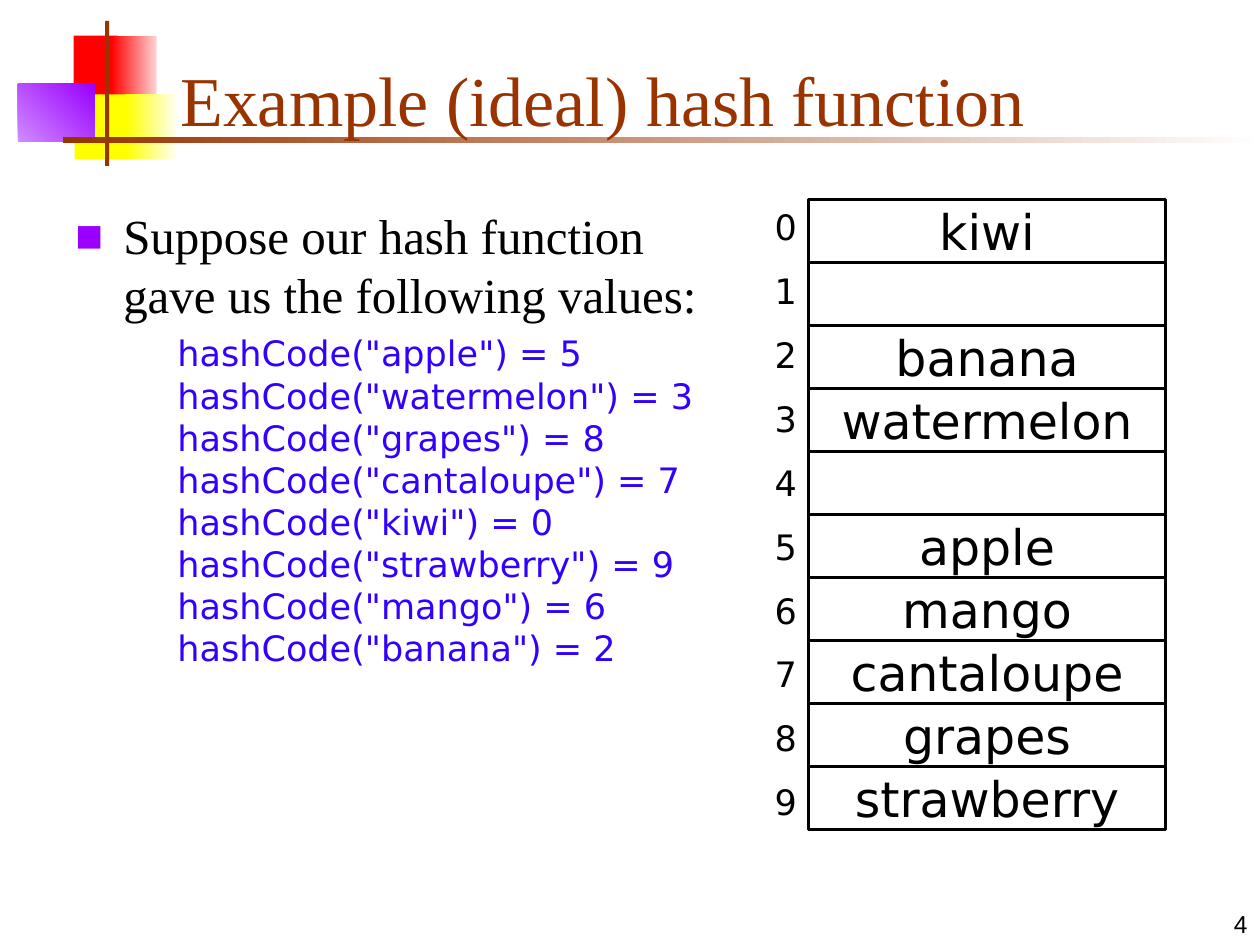
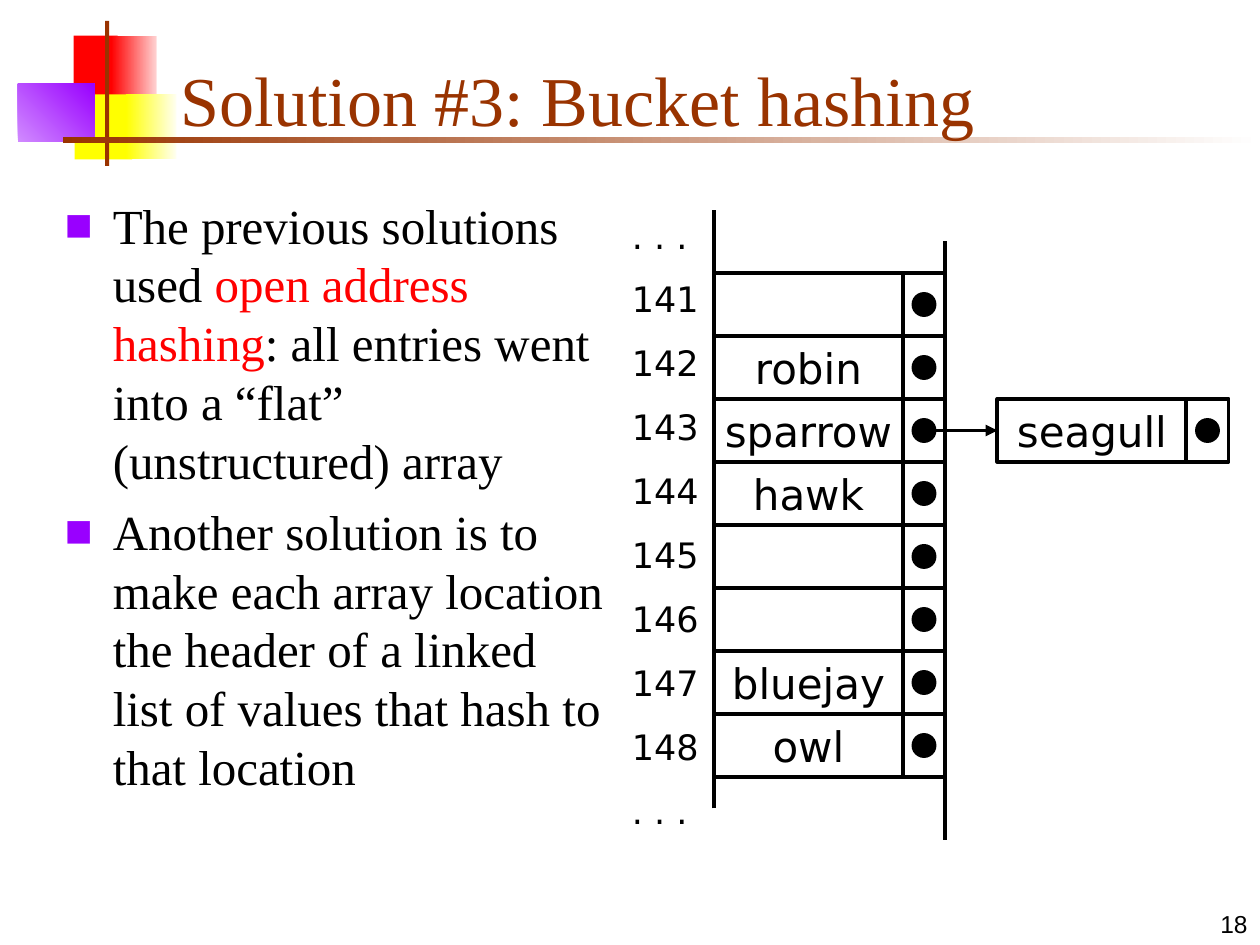
from lxml import etree
from pptx import Presentation
from pptx.dml.color import RGBColor
from pptx.enum.dml import MSO_THEME_COLOR
from pptx.enum.shapes import MSO_CONNECTOR, MSO_SHAPE
from pptx.enum.text import MSO_ANCHOR, PP_ALIGN
from pptx.oxml.ns import qn
from pptx.util import Inches, Pt

SLIDE_WIDTH, SLIDE_HEIGHT = Inches(10), Inches(7.5)
COLUMNS, ROWS = 120, 90

RECTANGLE, CELL, OVAL = MSO_SHAPE.RECTANGLE, MSO_SHAPE.FLOWCHART_PROCESS, MSO_SHAPE.OVAL
STRAIGHT = MSO_CONNECTOR.STRAIGHT
TOP, MIDDLE, BOTTOM = MSO_ANCHOR.TOP, MSO_ANCHOR.MIDDLE, MSO_ANCHOR.BOTTOM
LEFT, CENTER, RIGHT = PP_ALIGN.LEFT, PP_ALIGN.CENTER, PP_ALIGN.RIGHT

BLACK = RGBColor(0x00, 0x00, 0x00)
WHITE = RGBColor(0xFF, 0xFF, 0xFF)
RED = RGBColor(0xFF, 0x00, 0x00)
PINK = RGBColor(0xFF, 0xD1, 0xD1)
YELLOW = RGBColor(0xFF, 0xFF, 0x00)
CREAM = RGBColor(0xFF, 0xFF, 0xF0)
PURPLE = RGBColor(0x99, 0x00, 0xFF)
LILAC = RGBColor(0xD1, 0x8B, 0xFF)
BROWN = RGBColor(0x99, 0x33, 0x00)
CODE_BLUE = RGBColor(0x33, 0x00, 0xFF)

SERIF, SANS, NUMBER_FONT = "Times New Roman", "DejaVu Sans", "Arial"
LINE_WIDTH = Pt(2.25)
CELL_ROWS = 6
POINTER_COLUMNS = 4
DOT = 2

MOTIF = [
    ((7, 3.4, 4.2, 6.2), [RED], 0),
    ((10.6, 3.4, 4.3, 6.2), [RED, PINK], 0),
    ((7.1, 9, 5.5, 6.2), [YELLOW], 0),
    ((12, 9, 4.8, 6.2), [YELLOW, CREAM], 0),
    ((1.7, 8, 7.3, 5.5), [LILAC, PURPLE], 45),
    ((10, 2, 0.4, 13.8), [BROWN], 0),
    ((6, 13, 114, 0.6), [BROWN, WHITE], 0),
]

HASH_CODES = [
    ("apple", 5), ("watermelon", 3), ("grapes", 8), ("cantaloupe", 7),
    ("kiwi", 0), ("strawberry", 9), ("mango", 6), ("banana", 2),
]
FIRST_BUCKET = 141
BUCKETS = ["", "robin", "sparrow", "hawk", "", "", "bluejay", "owl"]


def across(columns):
    return round(SLIDE_WIDTH * columns / COLUMNS)


def down(rows):
    return round(SLIDE_HEIGHT * rows / ROWS)


def place(area):
    left, top, width, height = area
    return across(left), down(top), across(width), down(height)


def add_plain_shape(slide, kind, area):
    shape = slide.shapes.add_shape(kind, *place(area))
    shape.shadow.inherit = False
    return shape


def add_motif(slide):
    for area, colours, angle in MOTIF:
        block = add_plain_shape(slide, RECTANGLE, area)
        block.line.fill.background()
        if len(colours) == 1:
            block.fill.solid()
            block.fill.fore_color.rgb = colours[0]
        else:
            block.fill.gradient()
            block.fill.gradient_angle = angle
            for stop, colour in zip(block.fill.gradient_stops, colours):
                stop.color.theme_color = MSO_THEME_COLOR.ACCENT_1
                stop.color.rgb = colour


def add_run(paragraph, text, font, size, colour):
    run = paragraph.add_run()
    run.text = text
    run.font.name = font
    run.font.size = Pt(size)
    run.font.color.rgb = colour


def next_paragraph(frame, size, space_before=0, align=LEFT):
    paragraph = frame.paragraphs[0]
    if paragraph.runs:
        paragraph = frame.add_paragraph()
        paragraph.space_before = Pt(space_before)
    paragraph.line_spacing = Pt(size * 1.2)
    paragraph.alignment = align
    return paragraph


def add_frame(slide, area, anchor=TOP, wrap=True):
    frame = slide.shapes.add_textbox(*place(area)).text_frame
    frame.word_wrap = wrap
    frame.vertical_anchor = anchor
    return frame


def start_slide(deck, title, number):
    slide = deck.slides.add_slide(deck.slide_layouts[6])
    add_motif(slide)
    footer = add_frame(slide, (95, 84, 25, 6), BOTTOM)
    add_run(next_paragraph(footer, 14, align=RIGHT), str(number), NUMBER_FONT, 14, BLACK)
    heading = add_frame(slide, (16, 3, 102.2, 11), BOTTOM)
    add_run(next_paragraph(heading, 40), title, SERIF, 40, BROWN)
    return slide


def set_indent(paragraph, margin, hanging=0.0):
    properties = paragraph._p.get_or_add_pPr()
    properties.set("marL", str(Inches(margin)))
    properties.set("indent", str(-Inches(hanging)))
    return properties


def add_bullet(frame, spans):
    paragraph = next_paragraph(frame, 28, 7)
    properties = set_indent(paragraph, 0.38, 0.38)
    colour = etree.SubElement(properties, qn("a:buClr"))
    etree.SubElement(colour, qn("a:srgbClr"), val=str(PURPLE))
    etree.SubElement(properties, qn("a:buSzPct"), val="60000")
    etree.SubElement(properties, qn("a:buFont"), typeface=SANS)
    etree.SubElement(properties, qn("a:buChar"), char="■")
    for text, text_colour in spans:
        add_run(paragraph, text, SERIF, 28, text_colour)


def add_code_lines(frame, lines):
    paragraph = next_paragraph(frame, 20, 5)
    set_indent(paragraph, 0.81)
    for index, line in enumerate(lines):
        if index:
            paragraph.add_line_break()
        add_run(paragraph, line, SANS, 20, CODE_BLUE)


def add_index_labels(slide, area, labels):
    frame = add_frame(slide, area, wrap=False)
    for label in labels:
        add_run(next_paragraph(frame, 20, 12.5), label, SANS, 20, BLACK)


def add_cell(slide, left, top, width, text="", size=24):
    cell = add_plain_shape(slide, CELL, (left, top, width, CELL_ROWS))
    cell.fill.background()
    cell.line.color.rgb = BLACK
    cell.line.width = LINE_WIDTH
    if text:
        frame = cell.text_frame
        frame.word_wrap = False
        frame.vertical_anchor = MIDDLE
        frame.margin_left = frame.margin_right = Inches(0.1)
        frame.margin_top = frame.margin_bottom = Inches(0.05)
        add_run(next_paragraph(frame, size, align=CENTER), text, SANS, size, BLACK)
    return cell


def add_node(slide, left, top, width, text):
    cell = add_cell(slide, left, top, width, text)
    pointer_left = left + width
    add_cell(slide, pointer_left, top, POINTER_COLUMNS)
    dot_left = pointer_left + (POINTER_COLUMNS - DOT) / 2
    dot_top = top + (CELL_ROWS - DOT) / 2
    dot = add_plain_shape(slide, OVAL, (dot_left, dot_top, DOT, DOT))
    dot.fill.solid()
    dot.fill.fore_color.rgb = BLACK
    dot.line.color.rgb = BLACK
    dot.line.width = LINE_WIDTH
    return cell


def add_line(slide, start, end):
    line = slide.shapes.add_connector(
        STRAIGHT, across(start[0]), down(start[1]), across(end[0]), down(end[1]))
    line.line.color.rgb = BLACK
    line.line.width = LINE_WIDTH
    etree.SubElement(line._element.spPr, qn("a:effectLst"))
    return line


def add_arrow(slide, start, end, target, side):
    arrow = add_line(slide, start, end)
    arrow.end_connect(target, side)
    outline = arrow.line._get_or_add_ln()
    etree.SubElement(outline, qn("a:tailEnd"), type="triangle")


def build_ideal_hash(deck):
    slide = start_slide(deck, "Example (ideal) hash function", 4)
    body = add_frame(slide, (6, 19, 64, 61))
    add_bullet(body, [("Suppose our hash function gave us the following values:", BLACK)])
    add_code_lines(body, [f'hashCode("{fruit}") = {code}' for fruit, code in HASH_CODES])
    fruit_at = {code: fruit for fruit, code in HASH_CODES}
    table_top = 19
    for index in range(10):
        add_cell(slide, 77, table_top + index * CELL_ROWS, 34, fruit_at.get(index, ""), 28)
    add_index_labels(slide, (72.6, table_top, 4.3, 60), [str(index) for index in range(10)])


def build_bucket_hashing(deck):
    slide = start_slide(deck, "Solution #3: Bucket hashing", 18)
    body = add_frame(slide, (5, 18, 54.1, 62.5))
    add_bullet(body, [
        ("The previous solutions used ", BLACK),
        ("open address hashing", RED),
        (": all entries went into a “flat” (unstructured) array", BLACK),
    ])
    add_bullet(body, [(
        "Another solution is to make each array location the header of "
        "a linked list of values that hash to that location", BLACK)])

    left, top, width = 68, 26, 18
    right = left + width + POINTER_COLUMNS
    numbers = [str(FIRST_BUCKET + index) for index in range(len(BUCKETS))]
    add_index_labels(slide, (59, 19.8, 9, 60), [". . .", *numbers, ". . ."])
    add_line(slide, (left, 77), (left, 20))
    add_line(slide, (right, 80), (right, 23))
    for index, bird in enumerate(BUCKETS):
        add_node(slide, left, top + index * CELL_ROWS, width, bird)

    chain_left = right + 5
    chain_top = top + BUCKETS.index("sparrow") * CELL_ROWS
    chained = add_node(slide, chain_left, chain_top, width, "seagull")
    link_row = chain_top + CELL_ROWS / 2
    add_arrow(slide, (right - POINTER_COLUMNS / 2, link_row), (chain_left, link_row), chained, 1)


def main():
    deck = Presentation()
    deck.slide_width, deck.slide_height = SLIDE_WIDTH, SLIDE_HEIGHT
    build_ideal_hash(deck)
    build_bucket_hashing(deck)
    deck.save("out.pptx")


if __name__ == "__main__":
    main()
